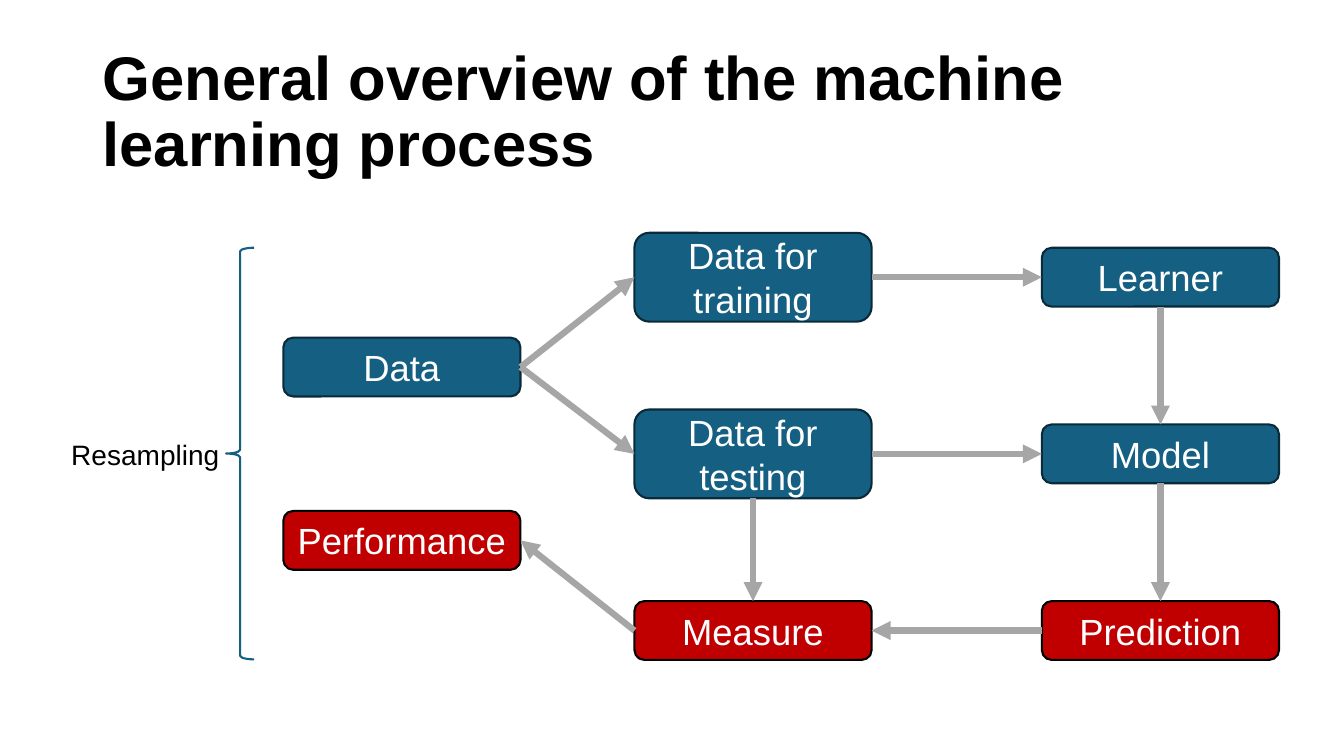
from lxml.etree import SubElement
from pptx import Presentation
from pptx.dml.color import RGBColor
from pptx.enum.shapes import MSO_CONNECTOR, MSO_SHAPE
from pptx.enum.text import MSO_ANCHOR, MSO_AUTO_SIZE, PP_ALIGN
from pptx.oxml.ns import qn
from pptx.util import Pt

TITLE = "General overview of the machine learning process"
RESAMPLING = "Resampling"

STEPS = {
    "Data": ("left", 262.2, "input"),
    "Data for testing": ("middle", 324.2, "input"),
    "Data for training": ("middle", 198, "input"),
    "Learner": ("right", 198, "input"),
    "Model": ("right", 324.2, "input"),
    "Prediction": ("right", 450.4, "result"),
    "Measure": ("middle", 450.4, "result"),
    "Performance": ("left", 386, "result"),
}

FLOWS = [
    ("Data", "right", "Data for training", "left"),
    ("Data", "right", "Data for testing", "left"),
    ("Data for training", "right", "Learner", "left"),
    ("Data for testing", "right", "Model", "left"),
    ("Prediction", "left", "Measure", "right"),
    ("Data for testing", "bottom", "Measure", "top"),
    ("Measure", "left", "Performance", "right"),
    ("Learner", "bottom", "Model", "top"),
    ("Model", "bottom", "Prediction", "top"),
]

THEME = {
    "font": "Arial",
    "title_size": 44,
    "step_size": 26,
    "label_size": 20,
    "text": "000000",
    "step_text": "FFFFFF",
    "brace": "156082",
    "arrow": "A6A6A6",
    "input": ("156082", "092A39"),
    "result": ("C00000", "000000"),
}

COLUMNS = {"left": 202.4, "middle": 453.2, "right": 744.2}
SITES = {"top": 0, "left": 1, "bottom": 2, "right": 3}
STEP_WIDTH, SINGLE_HEIGHT, DOUBLE_HEIGHT = 169.4, 42, 63.4
OUTLINE, ARROW_WIDTH = 1.5, 4.5
TITLE_BOX = (66, 28.75, 828, 104.4)
BRACE_BOX = (161.5, 177, 20, 294)
LABEL_BOX = (36.8, 303.2, 134, 42)


def apply(target, values):
    for name, value in values.items():
        setattr(target, name, value)


def points(box):
    return [Pt(value) for value in box]


def write(shape, text, size, color, alignment, bold=False, spacing=1.0):
    frame = shape.text_frame
    frame.text = text
    apply(frame, {
        "word_wrap": True,
        "auto_size": MSO_AUTO_SIZE.NONE,
        "vertical_anchor": MSO_ANCHOR.MIDDLE,
    })
    paragraph = frame.paragraphs[0]
    apply(paragraph, {"alignment": alignment, "line_spacing": spacing})
    font = paragraph.runs[0].font
    apply(font, {"name": THEME["font"], "size": Pt(size), "bold": bold})
    font.color.rgb = RGBColor.from_string(color)


def draw_line(shape, color, width):
    shape.line.color.rgb = RGBColor.from_string(color)
    shape.line.width = Pt(width)


def add_step(slide, text, column, center, kind):
    height = DOUBLE_HEIGHT if " " in text else SINGLE_HEIGHT
    box = (COLUMNS[column], center - height / 2, STEP_WIDTH, height)
    shape = slide.shapes.add_shape(MSO_SHAPE.ROUNDED_RECTANGLE, *points(box))
    fill, outline = THEME[kind]
    shape.shadow.inherit = False
    shape.fill.solid()
    shape.fill.fore_color.rgb = RGBColor.from_string(fill)
    draw_line(shape, outline, OUTLINE)
    write(shape, text, THEME["step_size"], THEME["step_text"], PP_ALIGN.CENTER)
    return shape


def add_flow(slide, source, source_side, target, target_side):
    arrow = slide.shapes.add_connector(MSO_CONNECTOR.STRAIGHT, 0, 0, 0, 0)
    arrow.begin_connect(source, SITES[source_side])
    arrow.end_connect(target, SITES[target_side])
    draw_line(arrow, THEME["arrow"], ARROW_WIDTH)
    SubElement(arrow.line._get_or_add_ln(), qn("a:tailEnd"), type="triangle")
    SubElement(arrow._element.spPr, qn("a:effectLst"))


def add_resampling(slide):
    brace = slide.shapes.add_shape(MSO_SHAPE.LEFT_BRACE, *points(BRACE_BOX))
    brace.shadow.inherit = False
    brace.fill.background()
    brace.adjustments[0] = 0.13
    draw_line(brace, THEME["brace"], OUTLINE)
    label = slide.shapes.add_textbox(*points(LABEL_BOX))
    write(label, RESAMPLING, THEME["label_size"], THEME["text"], PP_ALIGN.CENTER)


def main():
    presentation = Presentation()
    apply(presentation, {"slide_width": Pt(960), "slide_height": Pt(540)})
    slide = presentation.slides.add_slide(presentation.slide_layouts[5])
    title = slide.shapes.title
    apply(title, dict(zip(("left", "top", "width", "height"), points(TITLE_BOX))))
    write(title, TITLE, THEME["title_size"], THEME["text"], PP_ALIGN.LEFT, True, 0.9)

    steps = {text: add_step(slide, text, *place) for text, place in STEPS.items()}
    for source, source_side, target, target_side in FLOWS:
        add_flow(slide, steps[source], source_side, steps[target], target_side)
    add_resampling(slide)
    presentation.save("out.pptx")


if __name__ == "__main__":
    main()
